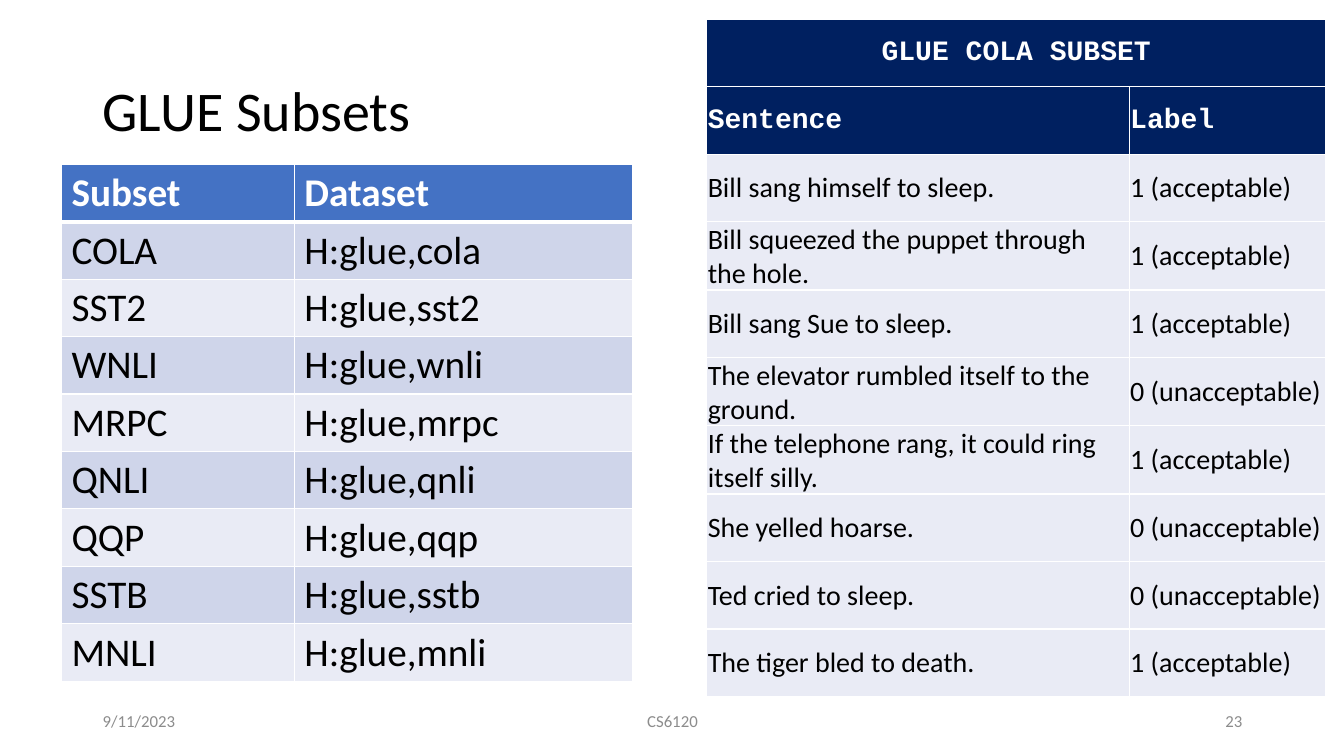
from lxml import etree
from pptx import Presentation
from pptx import util as u
from pptx.dml.color import RGBColor
from pptx.enum import text
from pptx.oxml.ns import qn

COLORS = {
    "black": "000000", "white": "FFFFFF", "gray": "8C8C8C",
    "blue": "4472C4", "navy": "002060", "band": "CFD5EA", "pale": "E9EBF5",
}
LEFT, CENTER, RIGHT = text.PP_ALIGN.LEFT, text.PP_ALIGN.CENTER, text.PP_ALIGN.RIGHT
MIDDLE, TOP = text.MSO_ANCHOR.MIDDLE, text.MSO_ANCHOR.TOP

SUBSETS = ["COLA", "SST2", "WNLI", "MRPC", "QNLI", "QQP", "SSTB", "MNLI"]
YES, NO = "1 (acceptable)", "0 (unacceptable)"
SENTENCES = [
    ("Bill sang himself to sleep.", YES),
    ("Bill squeezed the puppet through the hole.", YES),
    ("Bill sang Sue to sleep.", YES),
    ("The elevator rumbled itself to the ground.", NO),
    ("If the telephone rang, it could ring itself silly.", YES),
    ("She yelled hoarse.", NO),
    ("Ted cried to sleep.", NO),
    ("The tiger bled to death.", YES),
]


def rgb(name):
    return RGBColor.from_string(COLORS[name])


def write(tf, words, size=12, color="black", font="Calibri", bold=False,
          align=LEFT, spacing=None):
    p = tf.paragraphs[0]
    p.alignment = align
    if spacing:
        p.line_spacing = spacing
    r = p.add_run()
    r.text = words
    r.font.name, r.font.size, r.font.bold = font, u.Pt(size), bold
    r.font.color.rgb = rgb(color)


class SlideBuilder:
    def __init__(self, prs):
        self.slide = prs.slides.add_slide(prs.slide_layouts[6])

    def text_box(self, words, x, y, w, h, **style):
        sp = self.slide.shapes.add_textbox(*map(u.Inches, (x, y, w, h)))
        tf = sp.text_frame
        tf.word_wrap = True
        tf.vertical_anchor = MIDDLE
        write(tf, words, **style)

    def table(self, x, y, widths, row_height, rows):
        """Adds a table of the given size and returns it."""
        frame = self.slide.shapes.add_table(
            rows, len(widths), u.Inches(x), u.Inches(y),
            u.Inches(sum(widths)), u.Inches(row_height * rows))
        tbl = frame.table
        for column, width in zip(tbl.columns, widths):
            column.width = u.Inches(width)
        for row in tbl.rows:
            row.height = u.Inches(row_height)
        return tbl

    def cell(self, cell, words, fill, borders, margins=None, anchor=TOP, **style):
        """Fills a cell; borders maps sides L, R, T, B to white line widths."""
        tcPr = cell._tc.get_or_add_tcPr()
        for side, width in borders.items():
            ln = etree.SubElement(tcPr, qn("a:ln" + side), w=str(u.Pt(width)))
            solid = etree.SubElement(ln, qn("a:solidFill"))
            etree.SubElement(solid, qn("a:srgbClr"), val=COLORS["white"])
        cell.fill.solid()
        cell.fill.fore_color.rgb = rgb(fill)
        cell.vertical_anchor = anchor
        if margins:
            (cell.margin_left, cell.margin_top,
             cell.margin_right, cell.margin_bottom) = map(u.Inches, margins)
        if words:
            write(cell.text_frame, words, **style)

    def subset_table(self):
        rows = [("Subset", "Dataset")]
        rows += [(name, f"H:glue,{name.lower()}") for name in SUBSETS]
        tbl = self.table(0.61, 1.63, (2.31, 3.35), 0.57, len(rows))
        for i, row in enumerate(rows):
            head = i == 0
            fill = "blue" if head else ("pale", "band")[i % 2]
            borders = {"L": 1, "R": 1, "T": 1, "B": 3} if head else {"L": 1, "R": 1, "B": 1}
            for j, words in enumerate(row):
                self.cell(tbl.cell(i, j), words, fill, borders, size=28,
                          bold=head, color="white" if head else "black")

    def sentence_table(self):
        rows = [("GLUE COLA SUBSET", ""), ("Sentence", "Label")] + SENTENCES
        tbl = self.table(7.01, 0.19, (4.19, 1.95), 0.67, len(rows))
        tbl.cell(0, 0).merge(tbl.cell(0, 1))
        for i, row in enumerate(rows):
            head = i < 2
            for j, words in enumerate(row):
                self.cell(tbl.cell(i, j), words, "navy" if head else "pale",
                          dict.fromkeys("LRTB", 1), (0.01, 0.01, 0.01, 0), MIDDLE,
                          size=20, bold=head, color="white" if head else "black",
                          font="Courier New" if head else "Calibri",
                          align=LEFT if i else CENTER)


def main():
    prs = Presentation()
    prs.slide_width, prs.slide_height = u.Inches(13.33), u.Inches(7.5)
    s = SlideBuilder(prs)
    s.text_box("GLUE Subsets", 0.92, 0.4, 11.5, 1.45, size=40, spacing=0.9)
    s.subset_table()
    s.sentence_table()
    for words, x, w, align in (("CS6120", 4.42, 4.5, CENTER),
                               ("9/11/2023", 0.92, 3, LEFT),
                               ("23", 9.42, 3, RIGHT)):
        s.text_box(words, x, 6.95, w, 0.4, color="gray", align=align)
    prs.save("out.pptx")


if __name__ == "__main__":
    main()
